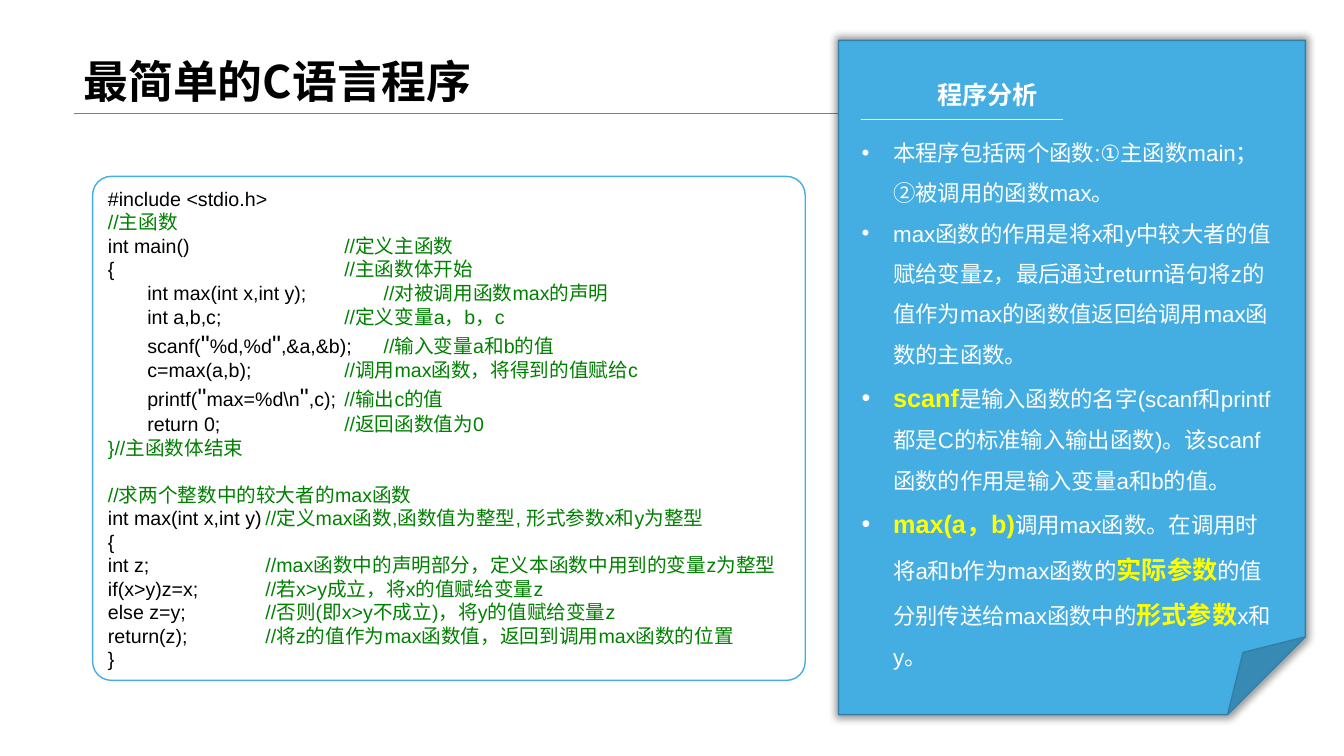
from lxml import etree
from pptx import Presentation
from pptx.dml.color import RGBColor
from pptx.enum.shapes import MSO_CONNECTOR, MSO_SHAPE
from pptx.enum.text import MSO_ANCHOR, MSO_AUTO_SIZE, PP_ALIGN
from pptx.oxml.ns import qn
from pptx.util import Pt

ROUND, FOLDED = MSO_SHAPE.ROUNDED_RECTANGLE, MSO_SHAPE.FOLDED_CORNER
STRAIGHT = MSO_CONNECTOR.STRAIGHT
TOP, BOTTOM = MSO_ANCHOR.TOP, MSO_ANCHOR.BOTTOM
LEFT, JUSTIFY = PP_ALIGN.LEFT, PP_ALIGN.JUSTIFY
NO_FIT, GROW = MSO_AUTO_SIZE.NONE, MSO_AUTO_SIZE.SHAPE_TO_FIT_TEXT

BLACK = RGBColor(0x00, 0x00, 0x00)
WHITE = RGBColor(0xFF, 0xFF, 0xFF)
GREY = RGBColor(0x80, 0x80, 0x80)
BLUE = RGBColor(0x44, 0xAD, 0xE1)
DARK_BLUE = RGBColor(0x32, 0x80, 0xA6)
GREEN = RGBColor(0x00, 0x80, 0x00)
YELLOW = RGBColor(0xFF, 0xFF, 0x00)

# Code lines: (code, comment); None stands for a gap
CODE = [
    ("#include <stdio.h>", ""),
    ("", "//主函数"),
    ("int main()\t\t\t\t", "//定义主函数"),
    ("{\t\t\t\t\t\t", "//主函数体开始"),
    ("\tint max(int x,int y);\t\t", "//对被调用函数max的声明"),
    ("\tint a,b,c;\t\t\t\t", "//定义变量a，b，c"),
    ('\tscanf("%d,%d",&a,&b); \t', "//输入变量a和b的值"),
    ("\tc=max(a,b);\t\t\t", "//调用max函数，将得到的值赋给c"),
    ('\tprintf("max=%d\\n",c); \t', "//输出c的值"),
    ("\treturn 0;\t\t\t\t", "//返回函数值为0"),
    ("", "}//主函数体结束"),
    None,
    ("", "//求两个整数中的较大者的max函数"),
    ("int max(int x,int y)\t", "//定义max函数,函数值为整型, 形式参数x和y为整型"),
    ("{", ""),
    ("int z;\t\t\t", "//max函数中的声明部分，定义本函数中用到的变量z为整型"),
    ("if(x>y)z=x;\t\t", "//若x>y成立，将x的值赋给变量z"),
    ("else z=y;\t\t\t", "//否则(即x>y不成立)，将y的值赋给变量z"),
    ("return(z); \t\t", "//将z的值作为max函数值，返回到调用max函数的位置"),
    ("}", ""),
]

# Analysis points: (text, is key term)
ANALYSIS = [
    [("本程序包括两个函数:①主函数main；②被调用的函数max。", False)],
    [("max函数的作用是将x和y中较大者的值赋给变量z，最后通过return语句将"
      "z的值作为max的函数值返回给调用max函数的主函数。", False)],
    [("scanf", True),
     ("是输入函数的名字(scanf和printf都是C的标准输入输出函数)。"
      "该scanf函数的作用是输入变量a和b的值。", False)],
    [("max(a，b)", True), ("调用max函数。在调用时将a和b作为max函数的", False),
     ("实际参数", True), ("的值分别传送给max函数中的", False),
     ("形式参数", True), ("x和y。", False)],
]


class Slide:
    BODY, HEAD = "Arial", "Noto Sans CJK SC"
    TAB, CODE_LINE = 28.13, 16.8

    def __init__(self, prs):
        self.s = prs.slides.add_slide(prs.slide_layouts[6])

    def sub(self, parent, tag, **attrs):
        return etree.SubElement(parent, qn(tag), attrs)

    def font(self, font, name, size, color, bold=False):
        font.name, font.size, font.bold = name, Pt(size), bold
        font.color.rgb = color

    def run(self, p, text, size=None, color=None, bold=None):
        r = p.add_run()
        r.text = text
        if size:
            r.font.size = Pt(size)
        if color is not None:
            r.font.color.rgb = color
        if bold:
            r.font.bold = True
        # East Asian glyphs follow the paragraph's font
        name = p.font.name
        r.font.name = name
        self.sub(r.font._element if hasattr(r.font, "_element") else r._r.get_or_add_rPr(),
                 "a:ea", typeface=name)

    def line(self, x1, y1, x2, y2, color, width):
        c = self.s.shapes.add_connector(STRAIGHT, Pt(x1), Pt(y1), Pt(x2), Pt(y2))
        c.line.color.rgb, c.line.width = color, Pt(width)
        self.sub(c._element.spPr, "a:effectLst")

    def shape(self, kind, x, y, w, h, fill, line):
        sp = self.s.shapes.add_shape(kind, Pt(x), Pt(y), Pt(w), Pt(h))
        sp.shadow.inherit = False
        sp.fill.solid()
        sp.fill.fore_color.rgb = fill
        sp.line.color.rgb, sp.line.width = line, Pt(1)
        return sp

    def glow_shadow(self, sp, blur, alpha):
        effects = sp._element.spPr.find(qn("a:effectLst"))
        shadow = self.sub(effects, "a:outerShdw", blurRad=str(Pt(blur)), dist="0",
                          dir="0", sx="101000", sy="101000", algn="ctr", rotWithShape="0")
        color = self.sub(shadow, "a:srgbClr", val=str(BLACK))
        self.sub(color, "a:alpha", val=str(alpha * 1000))

    def box(self, x, y, w, h, anchor=TOP, fit=GROW):
        tf = self.s.shapes.add_textbox(Pt(x), Pt(y), Pt(w), Pt(h)).text_frame
        tf.word_wrap, tf.auto_size, tf.vertical_anchor = True, fit, anchor
        return tf

    def heading(self, tf, text, size, color, align=LEFT, spacing=1.0):
        p = tf.paragraphs[0]
        p.alignment, p.line_spacing = align, spacing
        self.font(p.font, self.HEAD, size, color, True)
        self.run(p, text)

    def code(self, tf, lines):
        tf.word_wrap, tf.vertical_anchor = True, TOP
        p, gap = tf.paragraphs[0], False
        for i, line in enumerate(lines):
            if line is None:
                gap = True
                continue
            if i:
                p = tf.add_paragraph()
            p.alignment = LEFT
            if gap:
                p.space_before, gap = Pt(self.CODE_LINE), False
            tabs = self.sub(p._p.get_or_add_pPr(), "a:tabLst")
            for n in range(1, 9):
                self.sub(tabs, "a:tab", pos=str(Pt(n * self.TAB)), algn="l")
            code, comment = line
            self.font(p.font, self.BODY, 14, BLACK if code else GREEN)
            # Quotation marks are set larger than the rest
            for n, part in enumerate(code.split('"')):
                if n:
                    self.run(p, '"', 18, BLACK)
                if part:
                    self.run(p, part, 14, BLACK)
            if comment:
                self.run(p, comment, 14, GREEN)

    def bullets(self, tf, points, indent):
        for i, point in enumerate(points):
            p = tf.add_paragraph() if i else tf.paragraphs[0]
            p.line_spacing = 1.5
            pPr = p._p.get_or_add_pPr()
            pPr.set("marL", str(Pt(indent)))
            pPr.set("indent", str(-Pt(indent)))
            self.sub(self.sub(pPr, "a:buClr"), "a:srgbClr", val=str(WHITE))
            self.sub(pPr, "a:buFont", typeface=self.BODY)
            self.sub(pPr, "a:buChar", char="•")
            self.font(p.font, self.BODY, 16, WHITE)
            for text, key in point:
                self.run(p, text, 18 if key else 16, YELLOW if key else WHITE, key)


def main():
    prs = Presentation()
    prs.slide_width, prs.slide_height = Pt(960), Pt(540)
    slide = Slide(prs)

    # Title and rule
    slide.line(52.6, 80.6, 907.2, 80.6, GREY, 0.25)
    title = slide.box(52.6, 0, 854.6, 80.6, BOTTOM, NO_FIT)
    slide.heading(title, "最简单的C语言程序", 32, BLACK, spacing=0.9)

    # Code panel
    panel = slide.shape(ROUND, 66.2, 126, 509, 360, WHITE, BLUE)
    panel.adjustments[0] = 0.037
    slide.code(panel.text_frame, CODE)

    # Analysis note
    note = slide.shape(FOLDED, 599, 28.8, 333.4, 481.7, BLUE, DARK_BLUE)
    slide.glow_shadow(note, 5, 40)
    slide.heading(slide.box(662.4, 53.3, 97.9, 33.1), "程序分析", 18, WHITE, JUSTIFY)
    slide.line(614.9, 85, 759.6, 85, WHITE, 0.5)
    slide.bullets(slide.box(608.4, 86.4, 311, 370.8), ANALYSIS, 22.5)

    prs.save("out.pptx")


if __name__ == "__main__":
    main()
